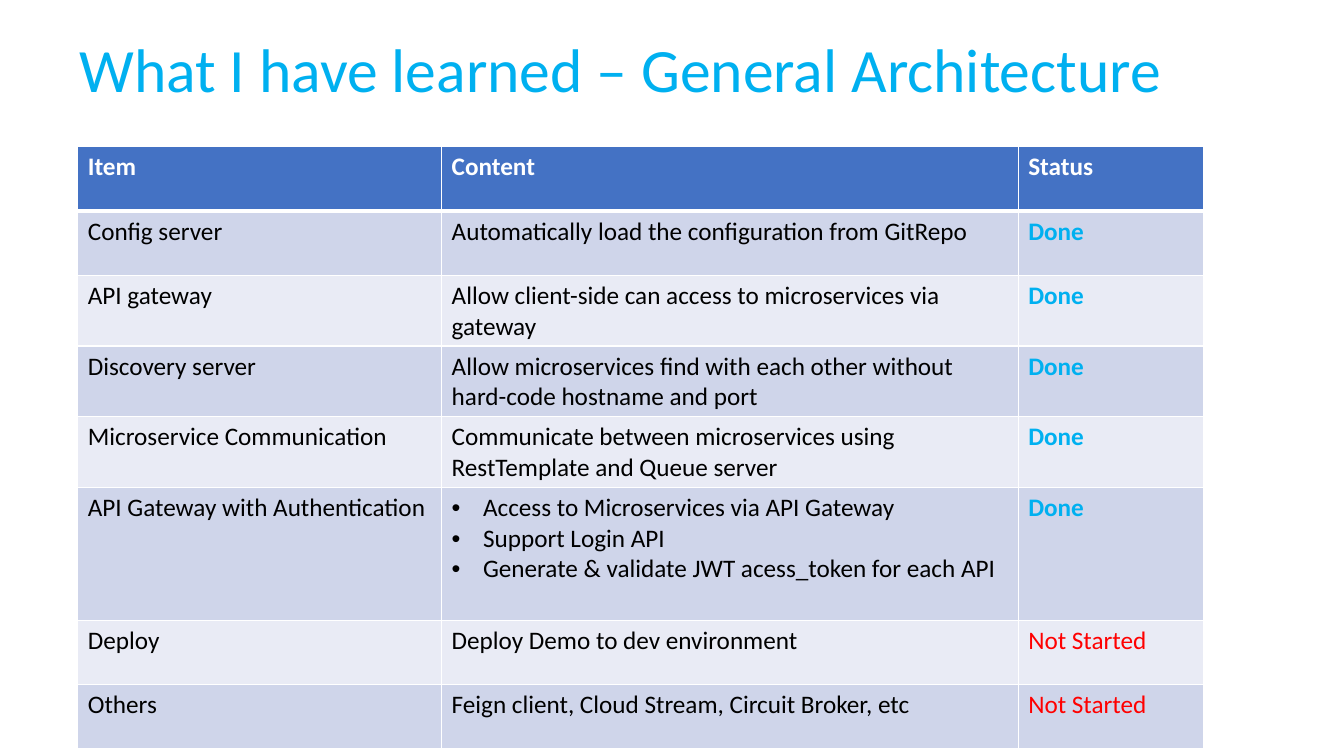
from lxml import etree
from pptx import Presentation
from pptx import util as u
from pptx.dml import color
from pptx.enum import text
from pptx.oxml import ns

FONT = "Calibri"
WHITE, BLACK, SKY, RED = "FFFFFF", "000000", "00B0F0", "FF0000"
HEAD, BANDS = "4472C4", ("E9EBF5", "CFD5EA")
DONE, TODO = "Done", "Not Started"

COLS = (9.17, 14.53, 4.67)
ROW, TALL = 1.62, 3.35  # plain row, row with a bullet list
ROWS = [
    ("Item", "Content", "Status"),
    ("Config server", "Automatically load the configuration from GitRepo", DONE),
    ("API gateway", "Allow client-side can access to microservices via gateway", DONE),
    ("Discovery server",
     "Allow microservices find with each other without hard-code hostname and port", DONE),
    ("Microservice Communication",
     "Communicate between microservices using RestTemplate and Queue server", DONE),
    ("API Gateway with Authentication",
     ["Access to Microservices via API Gateway", "Support Login API",
      "Generate & validate JWT acess_token for each API"], DONE),
    ("Deploy", "Deploy Demo to dev environment", TODO),
    ("Others", "Feign client, Cloud Stream, Circuit Broker, etc", TODO),
]


def rgb(code):
    return color.RGBColor.from_string(code)


def add_run(para, words, size, ink, bold=False):
    run = para.add_run()
    run.text = words
    run.font.name, run.font.size, run.font.bold = FONT, u.Pt(size), bold
    run.font.color.rgb = rgb(ink)


def add_node(parent, tag, **attrs):
    return etree.SubElement(parent, ns.qn(tag), attrs)


def set_edges(cell, base):
    """White rules on all four sides; base is the lower rule's width."""
    props = cell._tc.get_or_add_tcPr()
    for side, width in (("L", 1), ("R", 1), ("T", 1), ("B", base)):
        line = add_node(props, "a:ln" + side, w=str(u.Pt(width)))
        fill = add_node(line, "a:solidFill")
        add_node(fill, "a:srgbClr", val=WHITE)


def set_bullet(para):
    props = para._p.get_or_add_pPr()
    dent = u.Cm(0.79)
    props.set("marL", str(dent))
    props.set("indent", str(-dent))
    add_node(props, "a:buFont", typeface="Arial")
    add_node(props, "a:buChar", char="•")


def fill_cell(cell, words, back, ink, bold, base):
    set_edges(cell, base)
    cell.fill.solid()
    cell.fill.fore_color.rgb = rgb(back)
    listed = isinstance(words, list)
    frame = cell.text_frame
    for i, item in enumerate(words if listed else [words]):
        para = frame.add_paragraph() if i else frame.paragraphs[0]
        if listed:
            set_bullet(para)
        add_run(para, item, 18, ink, bold)


def add_title(slide, left, top, width, height):
    box = slide.shapes.add_textbox(*map(u.Cm, (left, top, width, height)))
    frame = box.text_frame
    frame.word_wrap = True
    frame.vertical_anchor = text.MSO_ANCHOR.MIDDLE
    para = frame.paragraphs[0]
    para.line_spacing = 0.9
    add_run(para, "What I have learned – General Architecture", 44, SKY)


def add_topics(slide, left, top):
    highs = [TALL if isinstance(row[1], list) else ROW for row in ROWS]
    size = map(u.Cm, (left, top, sum(COLS), sum(highs)))
    table = slide.shapes.add_table(len(ROWS), len(COLS), *size).table
    for col, width in zip(table.columns, COLS):
        col.width = u.Cm(width)
    for r, (row, high) in enumerate(zip(ROWS, highs)):
        table.rows[r].height = u.Cm(high)
        for c, words in enumerate(row):
            if r == 0:
                look = HEAD, WHITE, True, 3
            else:
                # Only the status column is coloured
                ink = {DONE: SKY, TODO: RED}[words] if c == 2 else BLACK
                look = BANDS[r % 2], ink, ink == SKY, 1
            fill_cell(table.cell(r, c), words, *look)


# Slide
deck = Presentation()
deck.slide_width, deck.slide_height = u.Cm(33.87), u.Cm(19.05)
page = deck.slides.add_slide(deck.slide_layouts[6])
add_title(page, 1.75, 0, 29.21, 3.68)
add_topics(page, 1.96, 3.7)
deck.save("out.pptx")
